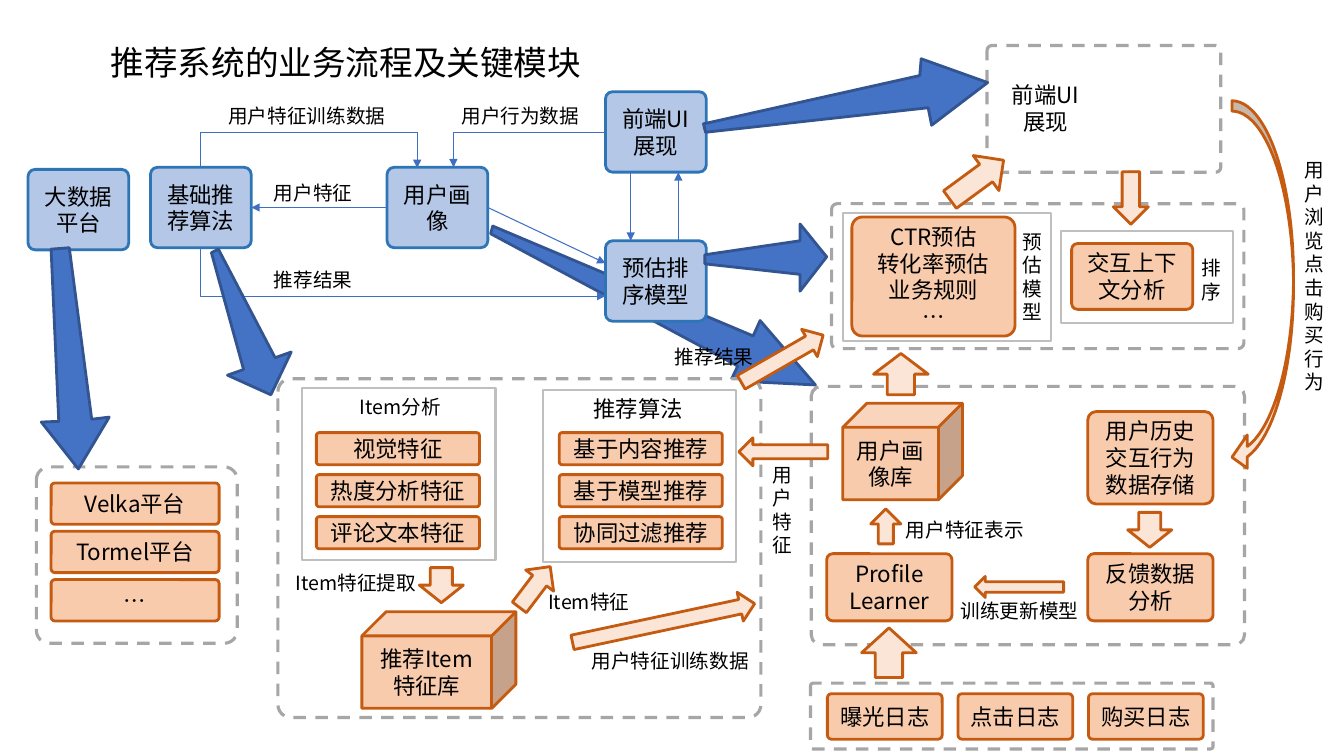
"""Build the slide on the business flow and key modules of a recommender system."""
from dataclasses import dataclass

from lxml.etree import SubElement
from pptx import Presentation
from pptx.dml.color import RGBColor
from pptx.enum.dml import MSO_LINE
from pptx.enum.shapes import MSO_CONNECTOR, MSO_SHAPE
from pptx.enum.text import MSO_ANCHOR, PP_ALIGN
from pptx.oxml.ns import qn
from pptx.shapes.autoshape import Shape
from pptx.shapes.connector import Connector
from pptx.slide import Slide
from pptx.text.text import TextFrame
from pptx.util import Pt

FONT = "Noto Sans CJK SC"
BLACK = RGBColor(0x00, 0x00, 0x00)
WHITE = RGBColor(0xFF, 0xFF, 0xFF)
STAGE_FILL = RGBColor(0xB4, 0xC7, 0xE7)
STAGE_LINE = RGBColor(0x2E, 0x75, 0xB6)
FLOW = RGBColor(0x3F, 0x6F, 0xC3)
DETAIL_FILL = RGBColor(0x44, 0x72, 0xC4)
DETAIL_LINE = RGBColor(0x32, 0x54, 0x91)
MODULE_FILL = RGBColor(0xF8, 0xCB, 0xAD)
STEP_FILL = RGBColor(0xFB, 0xE5, 0xD6)
ORANGE = RGBColor(0xC5, 0x5A, 0x11)
PANEL_LINE = RGBColor(0xA6, 0xA6, 0xA6)
FRAME_LINE = RGBColor(0xBF, 0xBF, 0xBF)

Point = tuple[float, float]


@dataclass
class Box:
    left: float
    top: float
    width: float
    height: float
    text: str = ""
    preset: MSO_SHAPE = MSO_SHAPE.ROUNDED_RECTANGLE
    corner: float = 0.089


@dataclass
class Label:
    text: str
    left: float
    top: float
    width: float
    height: float = 24.5
    size: float = 14
    align: PP_ALIGN = PP_ALIGN.LEFT


@dataclass
class Step:
    left: float
    top: float
    width: float
    height: float
    rotation: float = 0
    preset: MSO_SHAPE = MSO_SHAPE.DOWN_ARROW


@dataclass
class Stack:
    first: Box
    texts: tuple[str, ...]
    across: float = 0
    down: float = 0


@dataclass
class Flow:
    start: Point
    end: Point
    bend: int | None = None
    arrow: bool = True


PORTRAIT, BASIC = Box(276.5, 119.5, 72, 57.5, "用户画像"), Box(107.5, 119.5, 72, 57.5, "基础推荐算法")
OTHER_STAGES = [
    Box(20, 121, 72, 57.5, "大数据平台"),
    Box(432.5, 172, 72, 57.5, "预估排序模型"),
    Box(432.5, 65.5, 72, 57.5, "前端UI展现"),
]
FLOWS = [
    Flow((143.5, 119.5), (298, 94.5), bend=0, arrow=False),
    Flow((298, 94.5), (298, 120)),
    Flow((143.5, 177), (432.5, 211.5), bend=0),
    Flow((432.5, 94.5), (324, 119.5), bend=100100),
    Flow((450.5, 123), (450.5, 172)),
    Flow((484.5, 172), (484.5, 123)),
]
PANELS = [
    Box(26, 333.5, 143.5, 126, corner=0.073),
    Box(198.5, 270.5, 345, 242, corner=0.038),
    Box(579, 488, 287.5, 47, corner=0.038),
    Box(579.5, 276, 309.5, 184.5, corner=0.038),
    Box(705, 32.5, 167, 90.5, corner=0.038),
    Box(594, 145.5, 294.5, 103.5, corner=0.038),
]
FRAMES = [
    Box(216, 277, 138, 123, preset=MSO_SHAPE.RECTANGLE),
    Box(388, 278.5, 138, 123, preset=MSO_SHAPE.RECTANGLE),
    Box(602, 152, 148.5, 91.5, preset=MSO_SHAPE.RECTANGLE),
    Box(758, 165, 122.5, 66, preset=MSO_SHAPE.RECTANGLE),
]
STACKS = [
    Stack(Box(36.5, 345, 120, 29.5), ("Velka平台", "Tormel平台", "…"), down=34.5),
    Stack(Box(226, 309, 116.5, 23), ("视觉特征", "热度分析特征", "评论文本特征"), down=30),
    Stack(Box(399.5, 309, 116.5, 23), ("基于内容推荐", "基于模型推荐", "协同过滤推荐"), down=30),
    Stack(Box(591, 495.5, 82, 32.5), ("曝光日志", "点击日志", "购买日志"), across=93.25),
]
MODULES = [
    Box(258.5, 437, 110, 69, "推荐Item特征库", MSO_SHAPE.CUBE),
    Box(602, 288, 85.5, 69, "用户画像库", MSO_SHAPE.CUBE),
    Box(777, 294, 89.5, 66, "用户历史交互行为数据存储"),
    Box(777, 395.5, 89.5, 48, "反馈数据分析"),
    Box(590.5, 395.5, 89.5, 48, "Profile Learner"),
    Box(608.5, 155, 116.5, 85, "CTR预估\n转化率预估\n业务规则\n…"),
    Box(765.5, 174, 86.5, 47, "交互上下文分析"),
]
STEPS = [
    Step(299.5, 405.5, 31.5, 25),
    Step(369.5, 401, 25, 36.5, 217.2),
    Step(463.5, 378.5, 21, 133, 258),
    Step(622, 363.5, 21.5, 25, 180),
    Step(805.5, 366, 31.5, 25),
    Step(720.5, 387.5, 15, 63.5, 90),
    Step(615.5, 448.5, 39, 35.5, 180),
    Step(624, 252.5, 39, 29.5, 180),
    Step(549.5, 291, 20, 63.5, 90),
    Step(525, 245, 67.5, 22.5, 330.1, MSO_SHAPE.RIGHT_ARROW),
    Step(674, 113, 47.5, 31, 323.7, MSO_SHAPE.RIGHT_ARROW),
    Step(789, 129, 37.5, 25, 90, MSO_SHAPE.RIGHT_ARROW),
]
FEEDBACK = Step(880, 72, 44, 266.5, preset=MSO_SHAPE.CURVED_LEFT_ARROW)
LABELS = [
    Label("用户特征训练数据", 156, 70.5, 142.5),
    Label("用户特征", 188.5, 126, 78.5),
    Label("用户行为数据", 322.5, 70.5, 114.5),
    Label("推荐结果", 188.5, 188, 78.5),
    Label("Item特征提取", 204, 404, 114.5),
    Label("Item分析", 250, 278.5, 76.5),
    Label("推荐算法", 417, 278.5, 91.5, 26.5, 16),
    Label("Item特征", 384.5, 417.5, 80.5),
    Label("用户特征训练数据", 415.5, 460, 144),
    Label("用户特征表示", 640, 366.5, 103.5),
    Label("训练更新模型", 679, 424, 103.5),
    Label("推荐结果", 475, 242.5, 76.5),
    Label("前端UI展现", 713.5, 54.5, 66.5, 46, 16, PP_ALIGN.CENTER),
    Label("预估模型", 723.5, 160.5, 27.5, 75),
    Label("排序", 851, 179.5, 27.5, 41),
    Label("用户浏览点击购买行为", 924.5, 109.5, 25, 177),
    Label("用户特征", 545, 327, 32.5, 75),
]
PORTRAIT_DETAIL = [(522, 272), (527, 261.5), (350.5, 167), (352, 161.5), (538, 240), (543, 229), (582.5, 275)]
DETAILS = [
    [(29.5, 301.5), (42, 301), (36.5, 178), (49.5, 177), (65.5, 299.5), (78, 298), (56, 335)],
    [(162.5, 268), (174, 264), (151, 180.5), (156, 178), (196.5, 255.5), (208, 251.5), (193.5, 282)],
    [(571.5, 208), (571.5, 196), (503.5, 188.5), (503.5, 182), (571.5, 172), (571.5, 160), (590.5, 183.5)],
    [(665.5, 89.5), (663, 77), (504, 94.5), (502.5, 88.5), (657, 54), (658, 42), (705.5, 59)],
]


def write(frame: TextFrame, text: str, size: float, align: PP_ALIGN) -> None:
    frame.text = text
    frame.word_wrap = True
    for paragraph in frame.paragraphs:
        paragraph.alignment = align
        for run in paragraph.runs:
            run.font.size = Pt(size)
            run.font.name = FONT
            run.font.color.rgb = BLACK
            SubElement(run.font._element, qn("a:ea"), typeface=FONT)


def paint(shape: Shape, fill: RGBColor | None, line: RGBColor, weight: float = 2) -> None:
    shape.shadow.inherit = False
    if fill is None:
        shape.fill.background()
    else:
        shape.fill.solid()
        shape.fill.fore_color.rgb = fill
    shape.line.color.rgb = line
    shape.line.width = Pt(weight)


def draw_box(slide: Slide, box: Box, fill: RGBColor | None, line: RGBColor, weight: float = 2) -> Shape:
    shape = slide.shapes.add_shape(box.preset, Pt(box.left), Pt(box.top), Pt(box.width), Pt(box.height))
    paint(shape, fill, line, weight)
    if box.preset == MSO_SHAPE.ROUNDED_RECTANGLE:
        shape.adjustments[0] = box.corner
    if box.text:
        write(shape.text_frame, box.text, 16, PP_ALIGN.CENTER)
        shape.text_frame.vertical_anchor = MSO_ANCHOR.MIDDLE
    return shape


def draw_stack(slide: Slide, stack: Stack) -> None:
    first = stack.first
    for index, text in enumerate(stack.texts):
        left, top = first.left + index * stack.across, first.top + index * stack.down
        draw_box(slide, Box(left, top, first.width, first.height, text), MODULE_FILL, ORANGE)


def draw_step(slide: Slide, step: Step) -> Shape:
    shape = slide.shapes.add_shape(step.preset, Pt(step.left), Pt(step.top), Pt(step.width), Pt(step.height))
    shape.rotation = step.rotation
    paint(shape, STEP_FILL, ORANGE)
    return shape


def draw_detail(slide: Slide, outline: list[Point]) -> None:
    corners = [(Pt(x), Pt(y)) for x, y in outline]
    builder = slide.shapes.build_freeform(*corners[0], scale=1.0)
    builder.add_line_segments(corners[1:], close=True)
    paint(builder.convert_to_shape(), DETAIL_FILL, DETAIL_LINE)


def draw_flow(slide: Slide, flow: Flow) -> Connector:
    route = MSO_CONNECTOR.STRAIGHT if flow.bend is None else MSO_CONNECTOR.ELBOW
    connector = slide.shapes.add_connector(route, *(Pt(value) for value in flow.start + flow.end))
    connector.line.color.rgb = FLOW
    connector.line.width = Pt(0.75)
    properties = connector._element.spPr
    if flow.arrow:
        SubElement(properties.find(qn("a:ln")), qn("a:tailEnd"), type="triangle")
    SubElement(properties, qn("a:effectLst"))
    if flow.bend is not None:
        bends = properties.find(qn("a:prstGeom")).find(qn("a:avLst"))
        SubElement(bends, qn("a:gd"), name="adj1", fmla=f"val {flow.bend}")
    return connector


def draw_label(slide: Slide, label: Label) -> None:
    area = slide.shapes.add_textbox(Pt(label.left), Pt(label.top), Pt(label.width), Pt(label.height))
    write(area.text_frame, label.text, label.size, label.align)


def draw_title(slide: Slide) -> None:
    title = slide.shapes.title
    title.left, title.top, title.width, title.height = Pt(75.5), Pt(13.5), Pt(599), Pt(62)
    frame = title.text_frame
    frame.margin_left = frame.margin_right = frame.margin_top = frame.margin_bottom = Pt(3.6)
    frame.vertical_anchor = MSO_ANCHOR.MIDDLE
    write(frame, "推荐系统的业务流程及关键模块", 24, PP_ALIGN.LEFT)


def main() -> None:
    presentation = Presentation()
    presentation.slide_width, presentation.slide_height = Pt(960), Pt(540)
    slide = presentation.slides.add_slide(presentation.slide_layouts[5])
    draw_title(slide)
    draw_detail(slide, PORTRAIT_DETAIL)
    portrait = draw_box(slide, PORTRAIT, STAGE_FILL, STAGE_LINE)
    basic = draw_box(slide, BASIC, STAGE_FILL, STAGE_LINE)
    for stage in OTHER_STAGES:
        draw_box(slide, stage, STAGE_FILL, STAGE_LINE)
    for flow in FLOWS:
        draw_flow(slide, flow)
    features = draw_flow(slide, Flow((276.5, 148.25), (179.5, 148.25)))
    features.begin_connect(portrait, 1)
    features.end_connect(basic, 3)
    draw_flow(slide, Flow((348.5, 148.25), (432.5, 188))).begin_connect(portrait, 3)
    for panel in PANELS:
        draw_box(slide, panel, WHITE, PANEL_LINE, 2.25).line.dash_style = MSO_LINE.DASH
    for frame in FRAMES:
        draw_box(slide, frame, None, FRAME_LINE, 1.5)
    for stack in STACKS:
        draw_stack(slide, stack)
    for module in MODULES:
        draw_box(slide, module, MODULE_FILL, ORANGE)
    for step in STEPS:
        draw_step(slide, step)
    feedback = draw_step(slide, FEEDBACK)
    for index, ratio in enumerate((0.168, 0.541, 0.25)):
        feedback.adjustments[index] = ratio
    for label in LABELS:
        draw_label(slide, label)
    for outline in DETAILS:
        draw_detail(slide, outline)
    presentation.save("out.pptx")


if __name__ == "__main__":
    main()
